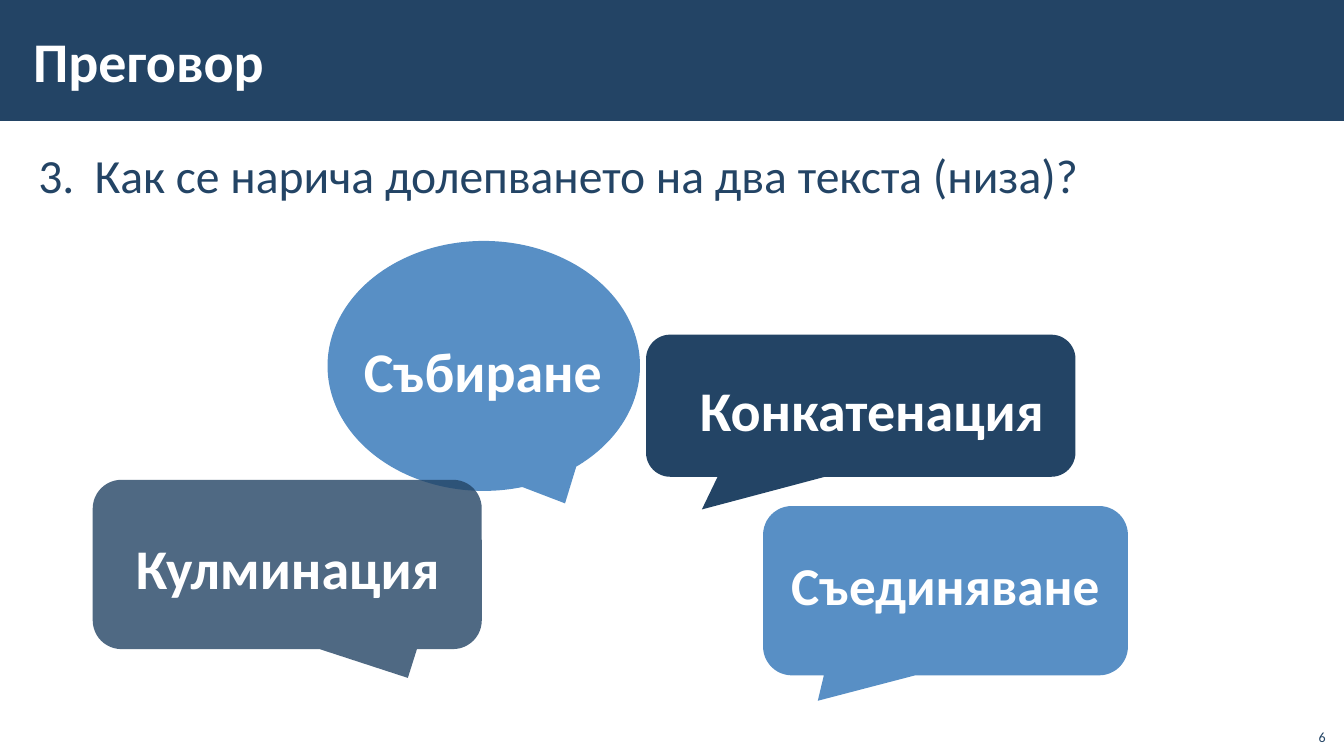
from dataclasses import dataclass

from lxml.etree import SubElement
from pptx import Presentation
from pptx.dml.color import RGBColor
from pptx.enum.shapes import MSO_SHAPE
from pptx.enum.text import MSO_ANCHOR, PP_ALIGN
from pptx.oxml.ns import qn
from pptx.util import Pt


@dataclass(frozen=True)
class Theme:
    """Fonts, colours and type sizes."""
    font: str = "Calibri"
    navy: str = "234465"
    blue: str = "588FC5"
    white: str = "FFFFFF"
    head: int = 40
    join: int = 38
    body: int = 34
    small: int = 10


class Deck:
    """Draws elements on the current slide in one style."""

    def __init__(self, theme):
        """Open a wide deck with one blank slide."""
        self.theme = theme
        self.deck = Presentation()
        self.deck.slide_width, self.deck.slide_height = Pt(960), Pt(540)
        self.slide = self.deck.slides.add_slide(self.deck.slide_layouts[6])

    def shape(self, kind, box, fill, adjust=(), alpha=None, into=None):
        """Add a filled shape without an outline."""
        home = into or self.slide.shapes
        shape = home.add_shape(kind, *map(Pt, box))
        shape.shadow.inherit = False
        shape.fill.solid()
        shape.fill.fore_color.rgb = RGBColor.from_string(fill)
        shape.line.fill.background()
        for i, value in enumerate(adjust):
            shape.adjustments[i] = value
        if alpha:
            tint = shape.fill._xPr.find(".//" + qn("a:srgbClr"))
            SubElement(tint, qn("a:alpha"), val=str(alpha * 1000))
        return shape

    def text(self, words, box, size, color, bold=False, align=PP_ALIGN.LEFT,
             anchor=MSO_ANCHOR.TOP, pad=(7.2, 3.6), space=1.0, into=None):
        """Add a text box with one paragraph and return the paragraph."""
        home = into or self.slide.shapes
        frame = home.add_textbox(*map(Pt, box)).text_frame
        frame.word_wrap = True
        frame.vertical_anchor = anchor
        frame.margin_left = frame.margin_right = Pt(pad[0])
        frame.margin_top = frame.margin_bottom = Pt(pad[1])
        para = frame.paragraphs[0]
        para.alignment, para.line_spacing = align, space
        run = para.add_run()
        run.text = words
        font = run.font
        font.name, font.size, font.bold = self.theme.font, Pt(size), bold
        font.color.rgb = RGBColor.from_string(color)
        return para

    def indent(self, para, left, first=0):
        """Set the left margin and first-line indent of a paragraph."""
        props = para._p.get_or_add_pPr()
        props.set("marL", str(Pt(left)))
        props.set("indent", str(Pt(first)))
        return props

    def question(self, words, box, start):
        """Add a numbered question."""
        para = self.text(words, box, self.theme.body, self.theme.navy,
                         pad=(8.64, 2.88), space=1.05)
        para.space_before = para.space_after = Pt(6)
        props = self.indent(para, 40.32, -40.32)
        SubElement(props, qn("a:buFont"), typeface="+mj-lt")
        SubElement(props, qn("a:buAutoNum"), type="arabicPeriod",
                   startAt=str(start))

    def bubble(self, words, kind, box, fill, tail, area, alpha=None, **style):
        """Group a callout with its label and return the label paragraph."""
        group = self.slide.shapes.add_group_shape().shapes
        self.shape(kind, box, fill, tail, alpha, group)
        look = dict(size=self.theme.head, align=PP_ALIGN.CENTER,
                    pad=(11.52, 8.64), space=1.1) | style
        return self.text(words, area, color=self.theme.white, bold=True,
                         into=group, **look)


def main():
    """Build and save the quiz slide."""
    theme = Theme()
    deck = Deck(theme)
    deck.shape(MSO_SHAPE.RECTANGLE, (0, 0, 960, 86.4), theme.navy)
    deck.question("Как се нарича долепването на два текста (низа)?",
                  (18.72, 99.36, 929.52, 408.24), 3)
    deck.text("Преговор", (15.12, 7.92, 765.36, 69.84), theme.head,
              theme.white, True, anchor=MSO_ANCHOR.MIDDLE, pad=(8.64, 2.88))

    block = MSO_SHAPE.ROUNDED_RECTANGULAR_CALLOUT
    deck.bubble("Конкатенация", block, (461.52, 239.04, 306.72, 101.52),
                theme.navy, (-0.37, 0.73, 0.17),
                (483.12, 254.88, 279.36, 67.68))
    para = deck.bubble("Събиране", MSO_SHAPE.OVAL_CALLOUT,
                       (234, 172.08, 223.2, 178.56), theme.blue, (0.26, 0.55),
                       (212.4, 231.84, 234.72, 65.52),
                       align=PP_ALIGN.LEFT, space=1.0)
    deck.indent(para, 36)
    deck.bubble("Кулминация", block, (66.24, 342.72, 277.92, 120.96),
                theme.navy, (0.31, 0.67, 0.17),
                (81.36, 367.92, 248.4, 67.68), alpha=80)
    deck.bubble("Съединяване", block, (545.04, 361.44, 260.64, 120.96),
                theme.blue, (-0.35, 0.65, 0.17),
                (498.24, 383.76, 354.24, 67.68), size=theme.join,
                anchor=MSO_ANCHOR.MIDDLE, pad=(7.2, 3.6), space=1.0)

    deck.text("6", (925.2, 512.64, 28.8, 23.04), theme.small, theme.navy,
              align=PP_ALIGN.RIGHT, anchor=MSO_ANCHOR.BOTTOM)
    deck.deck.save("out.pptx")


if __name__ == "__main__":
    main()
